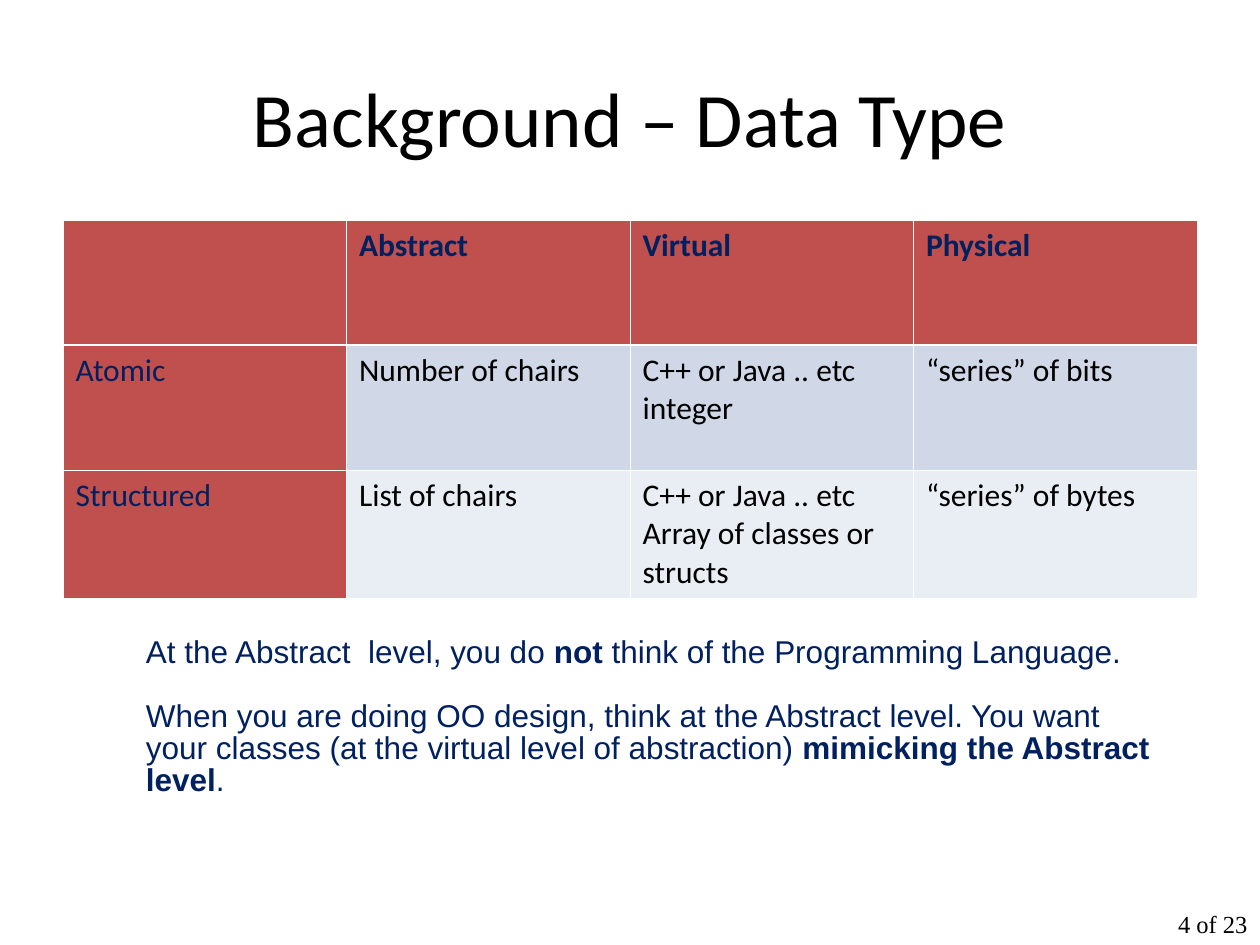
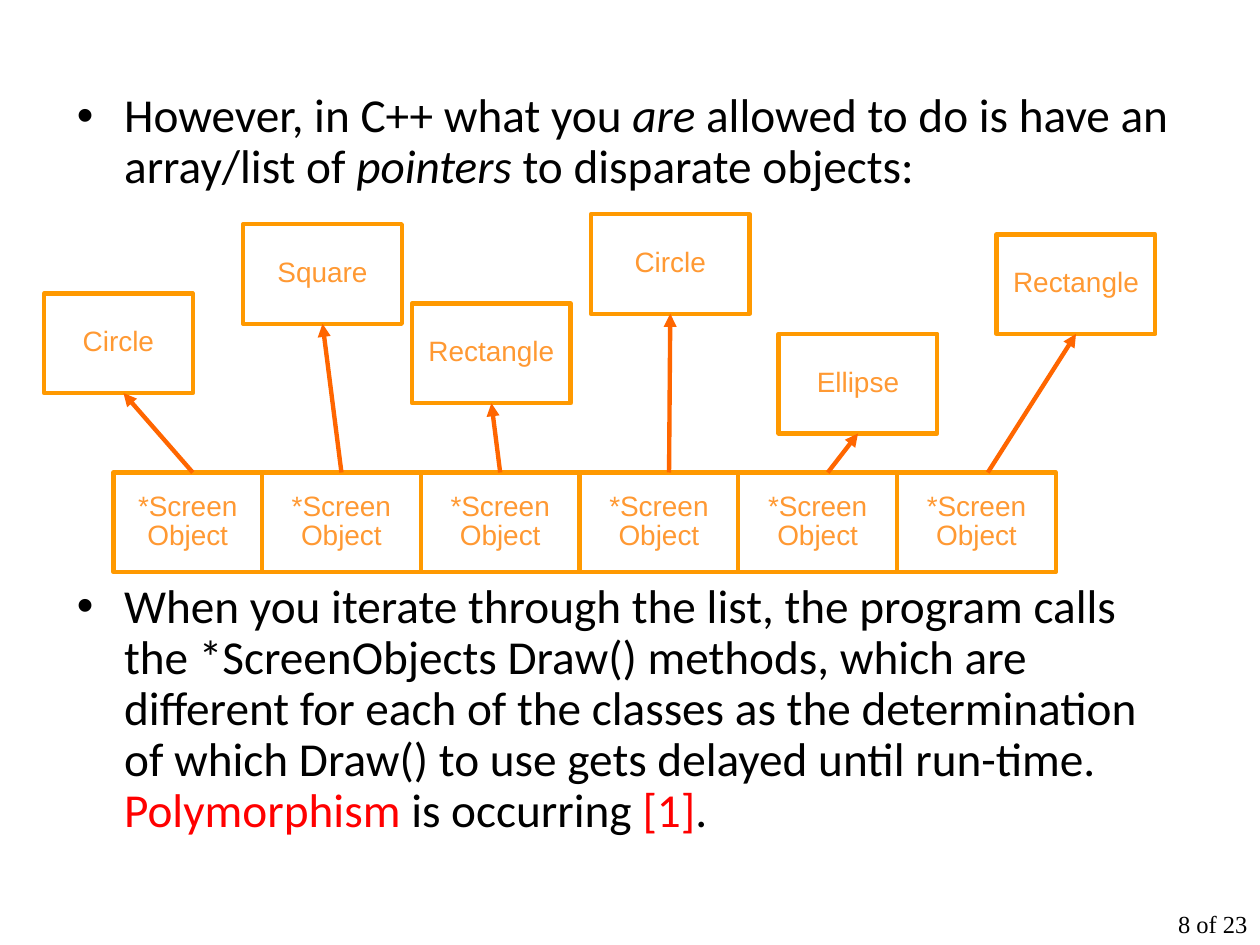
from collections import namedtuple

from lxml import etree
from pptx import Presentation
from pptx.dml.color import RGBColor
from pptx.enum.shapes import MSO_CONNECTOR, MSO_SHAPE
from pptx.enum.text import MSO_ANCHOR, MSO_AUTO_SIZE, PP_ALIGN
from pptx.oxml.ns import qn
from pptx.util import Inches, Pt

BLACK = RGBColor(0x00, 0x00, 0x00)
WHITE = RGBColor(0xFF, 0xFF, 0xFF)
NAVY = RGBColor(0x00, 0x20, 0x60)
RED = RGBColor(0xFF, 0x00, 0x00)
BRICK = RGBColor(0xC0, 0x50, 0x4D)
BAND_DARK = RGBColor(0xD0, 0xD8, 0xE8)
BAND_LIGHT = RGBColor(0xE9, 0xED, 0xF4)
BOX_LINE = RGBColor(0xFF, 0x99, 0x00)
BOX_TEXT = RGBColor(0xFF, 0x99, 0x33)
ARROW = RGBColor(0xFF, 0x66, 0x00)

LEFT, CENTER, RIGHT = PP_ALIGN.LEFT, PP_ALIGN.CENTER, PP_ALIGN.RIGHT
MIDDLE = MSO_ANCHOR.MIDDLE
NO_AUTOFIT = MSO_AUTO_SIZE.NONE
RECTANGLE = MSO_SHAPE.RECTANGLE
STRAIGHT = MSO_CONNECTOR.STRAIGHT

COLUMNS, ROWS = 100, 75
CELL = Inches(0.1)
TOP_SIDE, BOTTOM_SIDE = 0, 2
TITLE_ONLY, TITLE_AND_CONTENT = 5, 1
THIN, THICK = 0.45, 1.47
PAGE_COUNT = 23

Box = namedtuple("Box", "left top width height")

TITLE_BOX = Box(5, 3, 90, 12.5)
TABLE_BOX = Box(5, 17.5, 90, 30)
NOTE_BOX = Box(10.6, 50.1, 82.7, 16.3)
BODY_BOX = Box(5.1, 6.8, 89.8, 63.8)
DIAGRAM_BOX = Box(3.5, 17, 88.2, 28.4)
FOOTER_BOX = Box(87, 72.2, 13, 2.8)

LEVELS = [
    ["", "Abstract", "Virtual", "Physical"],
    ["Atomic", "Number of chairs", "C++ or Java .. etc\ninteger", "“series” of bits"],
    ["Structured", "List of chairs",
     "C++ or Java .. etc\nArray of classes or structs", "“series” of bytes"],
]
ROW_SHARES = [0.33, 0.33, 0.34]
BANDS = [BRICK, BAND_DARK, BAND_LIGHT]

NOTES = [
    [("At the Abstract  level, you do ", {}), ("not", {"bold": True}),
     (" think of the Programming Language.", {})],
    [("When you are doing OO design, think at the Abstract level. You want your "
      "classes (at the virtual level of abstraction) ", {}),
     ("mimicking the Abstract level", {"bold": True}), (".", {})],
]
POINTS = [
    [("However, in C++ what you ", {}), ("are ", {"italic": True}),
     ("allowed to do is have an array/list of ", {}), ("pointers", {"italic": True}),
     (" to disparate objects:", {})],
    [("When you iterate through the list, the program calls the *ScreenObjects "
      "Draw() methods, which are different for each of the classes as the "
      "determination of which Draw() to use gets delayed until run-time. ", {}),
     ("Polymorphism", {"color": RED}), (" is occurring ", {}),
     ("[1]", {"color": RED}), (".", {})],
]

BOX_WIDTH, FIRST_WIDTH, BOX_HEIGHT = 12.6, 11.8, 7.9
POINTER_LEFT, POINTER_TOP = 5.5, 20.5
Target = namedtuple("Target", "name left top arrow_start arrow_end")
TARGETS = [
    Target("Circle", 0, 6.3, 11.8, 6.3),
    Target("Square", 15.8, 0.8, 23.6, 22.1),
    Target("Rectangle", 29.2, 7.1, 36.2, 35.5),
    Target("Circle", 43.4, 0, 49.6, 49.7),
    Target("Ellipse", 58.3, 9.5, 62.2, 64.6),
    Target("Rectangle", 75.6, 1.6, 74.9, 81.9),
]


def grid(*lengths):
    return [round(length * CELL) for length in lengths]


def place(shape, box):
    shape.left, shape.top, shape.width, shape.height = grid(*box)


def format_run(run, font, size, color, bold=False, italic=False):
    run.font.name = font
    run.font.size = Pt(size)
    run.font.color.rgb = color
    run.font.bold = bold
    run.font.italic = italic


def format_text(text_frame, font, size, color, align=LEFT, spacing=1.0, bold=False):
    for paragraph in text_frame.paragraphs:
        paragraph.alignment = align
        paragraph.line_spacing = spacing
        for run in paragraph.runs:
            format_run(run, font, size, color, bold)


def write_paragraphs(text_frame, paragraphs, gaps, spacing, style):
    for index, pieces in enumerate(paragraphs):
        paragraph = text_frame.add_paragraph() if index else text_frame.paragraphs[0]
        paragraph.line_spacing = spacing
        paragraph.space_before = Pt(gaps[index])
        for text, changes in pieces:
            run = paragraph.add_run()
            run.text = text
            format_run(run, **{**style, **changes})


def add_text_box(slide, box):
    text_frame = slide.shapes.add_textbox(*grid(*box)).text_frame
    text_frame.word_wrap = True
    return text_frame


def add_footer(slide, page, box):
    text_frame = add_text_box(slide, box)
    text_frame.text = f"{page} of {PAGE_COUNT}"
    format_text(text_frame, "Times New Roman", 14, BLACK, RIGHT, 0.75)


def add_title(slide, text, box):
    title = slide.shapes.title
    place(title, box)
    title.text_frame.text = text
    title.text_frame.auto_size = NO_AUTOFIT
    title.text_frame.vertical_anchor = MIDDLE
    format_text(title.text_frame, "Calibri", 44, BLACK, CENTER)


def set_borders(cell, top, bottom):
    properties = cell._tc.get_or_add_tcPr()
    sides = [("a:lnL", THIN), ("a:lnR", THIN), ("a:lnT", top), ("a:lnB", bottom)]
    for index, (tag, width) in enumerate(sides):
        line = etree.Element(qn(tag), w=str(Pt(width)))
        fill = etree.SubElement(line, qn("a:solidFill"))
        etree.SubElement(fill, qn("a:srgbClr"), val=str(WHITE))
        properties.insert(index, line)


def add_levels_table(slide, box):
    table = slide.shapes.add_table(len(LEVELS), len(LEVELS[0]), *grid(*box)).table
    for row_index, texts in enumerate(LEVELS):
        table.rows[row_index].height = grid(box.height * ROW_SHARES[row_index])[0]
        is_header = row_index == 0
        for column_index, text in enumerate(texts):
            cell = table.cell(row_index, column_index)
            is_label = is_header or column_index == 0
            cell.text_frame.text = text
            format_text(cell.text_frame, "Calibri", 18,
                        NAVY if is_label else BLACK, bold=is_header)
            cell.fill.solid()
            cell.fill.fore_color.rgb = BRICK if is_label else BANDS[row_index]
            set_borders(cell, THICK if row_index == 1 else THIN,
                        THICK if is_header else THIN)


def add_notes_text(slide, box):
    style = {"font": "Arial", "size": 18, "color": NAVY}
    write_paragraphs(add_text_box(slide, box), NOTES, [0, 18.3], 0.85, style)


def add_points(slide, box):
    body = slide.placeholders[1]
    place(body, box)
    body.text_frame.auto_size = NO_AUTOFIT
    style = {"font": "Calibri", "size": 27, "color": BLACK}
    write_paragraphs(body.text_frame, POINTS, [6.8, 222], 0.9, style)


def add_object_box(slide, text, box):
    shape = slide.shapes.add_shape(RECTANGLE, *grid(*box))
    shape.shadow.inherit = False
    shape.fill.background()
    shape.line.color.rgb = BOX_LINE
    shape.line.width = Pt(2.5)
    text_frame = shape.text_frame
    text_frame.margin_left = text_frame.margin_right = 0
    text_frame.margin_top = text_frame.margin_bottom = 0
    text_frame.word_wrap = False
    text_frame.vertical_anchor = MIDDLE
    text_frame.text = text
    format_text(text_frame, "Arial", 16, BOX_TEXT, CENTER, 0.85)
    return shape


def is_centred(x, shape):
    return abs(x - shape.left - shape.width / 2) < CELL / 5


def add_arrow(slide, pointer, target, start_x, end_x):
    arrow = slide.shapes.add_connector(
        STRAIGHT, start_x, pointer.top, end_x, target.top + target.height)
    if is_centred(start_x, pointer):
        arrow.begin_connect(pointer, TOP_SIDE)
    if is_centred(end_x, target):
        arrow.end_connect(target, BOTTOM_SIDE)
    arrow.line.color.rgb = ARROW
    arrow.line.width = Pt(2.5)
    etree.SubElement(arrow.line._get_or_add_ln(), qn("a:tailEnd"), type="triangle")
    etree.SubElement(arrow._element.spPr, qn("a:effectLst"))


def add_pointer_diagram(slide, box):
    pointer_left = box.left + POINTER_LEFT
    for index, target in enumerate(TARGETS):
        width = BOX_WIDTH if index else FIRST_WIDTH
        target_shape = add_object_box(slide, target.name, Box(
            box.left + target.left, box.top + target.top, width, BOX_HEIGHT))
        pointer_shape = add_object_box(slide, "*Screen\nObject", Box(
            pointer_left, box.top + POINTER_TOP, width, BOX_HEIGHT))
        add_arrow(slide, pointer_shape, target_shape,
                  *grid(box.left + target.arrow_start, box.left + target.arrow_end))
        pointer_left += width


def add_data_type_slide(presentation):
    slide = presentation.slides.add_slide(presentation.slide_layouts[TITLE_ONLY])
    add_title(slide, "Background – Data Type", TITLE_BOX)
    add_levels_table(slide, TABLE_BOX)
    add_footer(slide, 4, FOOTER_BOX)
    add_notes_text(slide, NOTE_BOX)


def add_pointers_slide(presentation):
    slide = presentation.slides.add_slide(presentation.slide_layouts[TITLE_AND_CONTENT])
    title = slide.shapes.title._element
    title.getparent().remove(title)
    add_points(slide, BODY_BOX)
    add_footer(slide, 8, FOOTER_BOX)
    add_pointer_diagram(slide, DIAGRAM_BOX)


def main():
    presentation = Presentation()
    presentation.slide_width, presentation.slide_height = grid(COLUMNS, ROWS)
    add_data_type_slide(presentation)
    add_pointers_slide(presentation)
    presentation.save("out.pptx")


if __name__ == "__main__":
    main()
